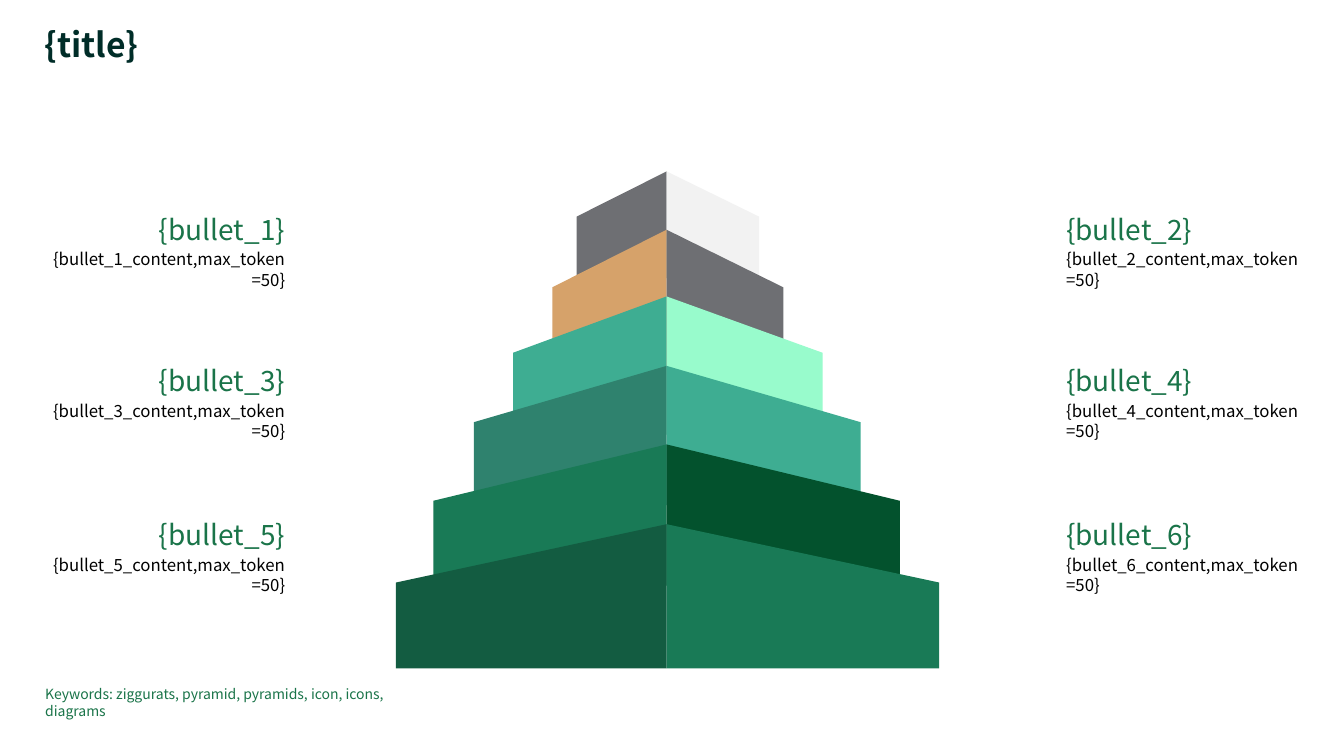
import dataclasses

import pptx
import pptx.dml.color
import pptx.enum.text
import pptx.util

Cm = pptx.util.Cm
Align = pptx.enum.text.PP_ALIGN
Anchor = pptx.enum.text.MSO_ANCHOR

TITLE = "{title}"
KEYWORDS = "Keywords: ziggurats, pyramid, pyramids, icon, icons, diagrams"
BULLET_ROWS = [
    (5.33, 1, 2),
    (9.14, 3, 4),
    (13.03, 5, 6),
]
BULLET_COLUMNS = [
    (1.14, 6.05, Align.RIGHT),
    (26.87, 5.97, Align.LEFT),
]
TIERS = [
    {"apex": 4.32, "shoulder": 5.46, "base": 7.01, "sides": [(14.53, "6E6F73"), (19.13, "F2F2F2")]},
    {"apex": 5.79, "shoulder": 7.24, "base": 9.22, "sides": [(13.92, "D6A26A"), (19.74, "6E6F73")]},
    {"apex": 7.47, "shoulder": 8.89, "base": 10.95, "sides": [(12.93, "3EAD92"), (20.73, "98FBCC")]},
    {"apex": 9.22, "shoulder": 10.64, "base": 12.73, "sides": [(11.94, "2F826E"), (21.69, "3EAD92")]},
    {"apex": 11.2, "shoulder": 12.62, "base": 14.76, "sides": [(10.92, "197A56"), (22.68, "03522D")]},
    {"apex": 13.21, "shoulder": 14.68, "base": 16.84, "sides": [(9.98, "135C41"), (23.67, "197A56")]},
]
CENTRE = 16.8
HEADING_HEIGHT = 0.86
CONTENT_OFFSET = 0.95
CONTENT_HEIGHT = 1.02


@dataclasses.dataclass(frozen=True)
class Theme:
    font: str = "Noto Sans CJK JP"
    title_color: str = "002D28"
    accent: str = "1A7449"
    body: str = "000000"
    title_size: int = 24
    heading_size: int = 20
    body_size: int = 12
    keyword_size: int = 10


THEME = Theme()


def rgb(color):
    return pptx.dml.color.RGBColor.from_string(color)


def write_text(shape, text, size, color, align=Align.LEFT, anchor=Anchor.TOP, bold=False):
    frame = shape.text_frame
    frame.word_wrap = True
    frame.auto_size = pptx.enum.text.MSO_AUTO_SIZE.NONE
    frame.vertical_anchor = anchor
    frame.margin_left = frame.margin_right = frame.margin_top = frame.margin_bottom = 0
    paragraph = frame.paragraphs[0]
    paragraph.alignment = align
    run = paragraph.add_run()
    run.text = text
    run.font.name = THEME.font
    run.font.size = pptx.util.Pt(size)
    run.font.bold = bold
    run.font.color.rgb = rgb(color)
    return paragraph


def add_text(slide, box, *args, **options):
    shape = slide.shapes.add_textbox(*map(Cm, box))
    write_text(shape, *args, **options)


def add_title(slide):
    title = slide.shapes.title
    title.left, title.top, title.width, title.height = map(Cm, (1.12, 0.71, 28.02, 0.94))
    paragraph = write_text(title, TITLE, THEME.title_size, THEME.title_color, bold=True)
    paragraph.line_spacing = 0.9


def add_ziggurat(slide):
    for tier in TIERS:
        for edge, color in tier["sides"]:
            builder = slide.shapes.build_freeform(Cm(edge), Cm(tier["shoulder"]))
            corners = [(CENTRE, tier["apex"]), (CENTRE, tier["base"]), (edge, tier["base"])]
            builder.add_line_segments([(Cm(x), Cm(y)) for x, y in corners], close=True)
            side = builder.convert_to_shape()
            side.shadow.inherit = False
            side.fill.solid()
            side.fill.fore_color.rgb = rgb(color)
            side.line.fill.background()


def add_bullets(slide):
    for top, *numbers in BULLET_ROWS:
        for number, (left, width, align) in zip(numbers, BULLET_COLUMNS):
            add_text(slide, (left, top, width, HEADING_HEIGHT), f"{{bullet_{number}}}",
                     THEME.heading_size, THEME.accent, align, Anchor.BOTTOM)
            add_text(slide, (left, top + CONTENT_OFFSET, width, CONTENT_HEIGHT),
                     f"{{bullet_{number}_content,max_token=50}}",
                     THEME.body_size, THEME.body, align)


def main():
    presentation = pptx.Presentation()
    presentation.slide_width, presentation.slide_height = Cm(33.87), Cm(19.05)
    slide = presentation.slides.add_slide(presentation.slide_layouts[5])
    add_title(slide)
    add_ziggurat(slide)
    add_bullets(slide)
    add_text(slide, (1.14, 17.27, 9.83, 0.9), KEYWORDS, THEME.keyword_size, THEME.accent)
    presentation.save("out.pptx")


if __name__ == "__main__":
    main()
